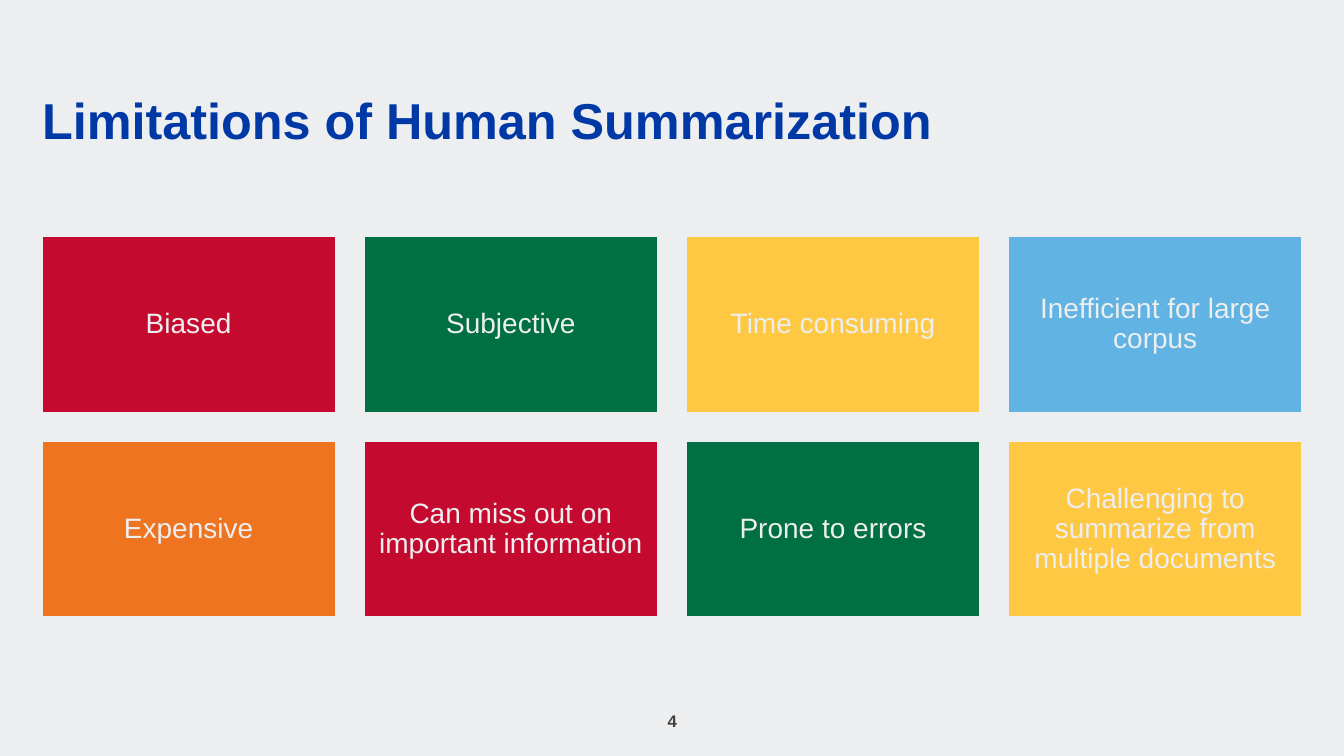
from itertools import cycle

from pptx import Presentation
from pptx.dml.color import RGBColor
from pptx.enum.shapes import MSO_SHAPE
from pptx.enum.text import MSO_ANCHOR, MSO_AUTO_SIZE, PP_ALIGN
from pptx.util import Cm, Pt

COLORS = {
    "background": "EDEEEF",
    "heading": "0039A6",
    "number": "404041",
    "red": "C50A2F",
    "green": "006F41",
    "yellow": "FFC843",
    "blue": "60B3E2",
    "orange": "EE7420",
}
TILE_COLORS = ["red", "green", "yellow", "blue", "orange"]
LIMITATIONS = [
    "Biased",
    "Subjective",
    "Time consuming",
    "Inefficient for large corpus",
    "Expensive",
    "Can miss out on important information",
    "Prone to errors",
    "Challenging to summarize from multiple documents",
]


def color(name):
    return RGBColor.from_string(COLORS[name])


def write(frame, text, size, color_name, align, anchor, inset, bold=False, spacing=None):
    frame.word_wrap = True
    frame.vertical_anchor = anchor
    frame.margin_left = frame.margin_right = Cm(inset[0])
    frame.margin_top = frame.margin_bottom = Cm(inset[1])
    paragraph = frame.paragraphs[0]
    paragraph.text = text
    paragraph.alignment = align
    paragraph.line_spacing = spacing
    paragraph.font.name = "Arial"
    paragraph.font.size = Pt(size)
    paragraph.font.bold = bold
    paragraph.font.color.rgb = color(color_name)


def place_title(slide, left, top, width, height):
    title = slide.shapes.title
    title.left, title.top, title.width, title.height = map(Cm, (left, top, width, height))
    write(title.text_frame, "Limitations of Human Summarization", 36, "heading",
          PP_ALIGN.LEFT, MSO_ANCHOR.BOTTOM, (0, 0), bold=True, spacing=0.9)
    title.text_frame.auto_size = MSO_AUTO_SIZE.SHAPE_TO_FIT_TEXT


def place_limitations(slide, left, top, width, height, columns=4, rows=2, gap=0.73):
    tile_width = (width - gap * (columns - 1)) / columns
    tile_height = (height - gap * (rows - 1)) / rows
    for index, (limitation, fill) in enumerate(zip(LIMITATIONS, cycle(TILE_COLORS))):
        row, column = divmod(index, columns)
        tile = slide.shapes.add_shape(
            MSO_SHAPE.RECTANGLE,
            Cm(left + column * (tile_width + gap)),
            Cm(top + row * (tile_height + gap)),
            Cm(tile_width),
            Cm(tile_height),
        )
        tile.shadow.inherit = False
        tile.fill.solid()
        tile.fill.fore_color.rgb = color(fill)
        tile.line.color.rgb = color("background")
        tile.line.width = Pt(1)
        write(tile.text_frame, limitation, 20, "background",
              PP_ALIGN.CENTER, MSO_ANCHOR.MIDDLE, (0.2, 0.2), spacing=0.9)


def place_page_number(slide, left, top, width, height):
    page_number = slide.shapes.add_textbox(*map(Cm, (left, top, width, height)))
    write(page_number.text_frame, "4", 12, "number",
          PP_ALIGN.CENTER, MSO_ANCHOR.MIDDLE, (0.25, 0.13), bold=True)


def main():
    presentation = Presentation()
    presentation.slide_width = Cm(33.87)
    presentation.slide_height = Cm(19.05)
    slide = presentation.slides.add_slide(presentation.slide_layouts[5])
    slide.background.fill.solid()
    slide.background.fill.fore_color.rgb = color("background")
    place_title(slide, 1.06, 2.39, 31.75, 1.4)
    place_limitations(slide, 1.06, 5.96, 31.75, 9.59)
    place_page_number(slide, 13.13, 17.65, 7.62, 1.02)
    presentation.save("out.pptx")


if __name__ == "__main__":
    main()
